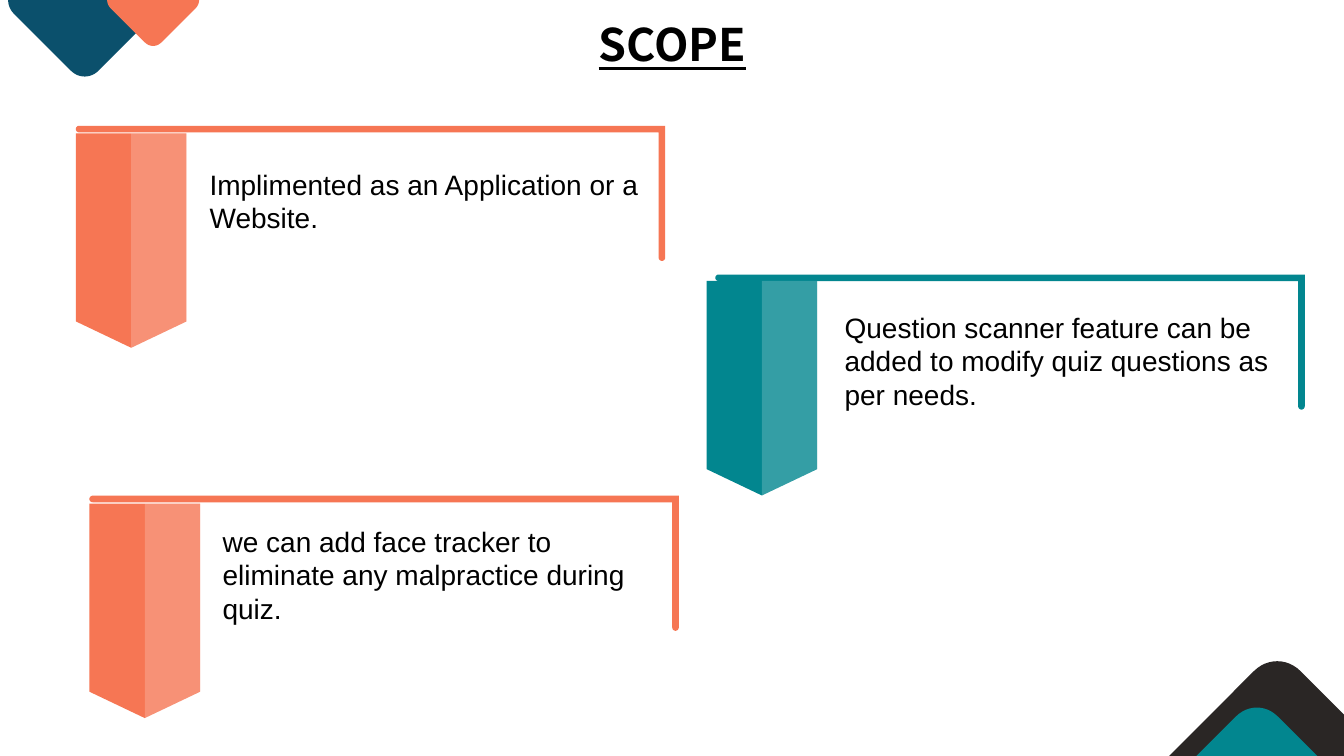
from dataclasses import dataclass
from math import cos, pi, sin

from lxml.etree import SubElement
from pptx import Presentation
from pptx.dml.color import RGBColor as RGB
from pptx.enum.text import MSO_AUTO_SIZE as Fit, PP_ALIGN as Align
from pptx.oxml.ns import qn
from pptx.util import Pt


@dataclass(frozen=True)
class Theme:
    orange: str = "F67654"
    teal: str = "02868F"
    navy: str = "0B506C"
    dark: str = "2A2625"
    white: str = "FFFFFF"
    black: str = "000000"
    head_font: str = "Noto Sans CJK SC"
    body_font: str = "Arial"
    head_size: int = 32
    body_size: int = 20


THEME = Theme()
WIDE, HIGH = 960, 540


def draw(slide, points, color, alpha=None):
    """Filled outline through points, with optional opacity in percent."""
    pts = [(Pt(x), Pt(y)) for x, y in points]
    pen = slide.shapes.build_freeform(*pts[0], scale=1.0)
    pen.add_line_segments(pts[1:], close=True)
    shape = pen.convert_to_shape()
    shape.shadow.inherit = False
    shape.line.fill.background()
    shape.fill.solid()
    shape.fill.fore_color.rgb = RGB.from_string(color)
    if alpha is not None:
        tint = shape.fill._xPr.find(".//" + qn("a:srgbClr"))
        SubElement(tint, qn("a:alpha"), val=str(alpha * 1000))


def write(slide, box, text, font, size, align=Align.LEFT, strong=False):
    left, top, width, height = box
    area = slide.shapes.add_textbox(Pt(left), Pt(top), Pt(width), Pt(height))
    frame = area.text_frame
    frame.word_wrap = True
    frame.auto_size = Fit.SHAPE_TO_FIT_TEXT
    para = frame.paragraphs[0]
    para.alignment = align
    run = para.add_run()
    run.text = text
    run.font.name = font
    run.font.size = Pt(size)
    run.font.color.rgb = RGB.from_string(THEME.black)
    if strong:
        run.font.bold = True
        run.font.underline = True


def curve(a, b, c, d, steps=12):
    """Points along a cubic curve."""
    return [tuple((1 - t) ** 3 * p + 3 * t * (1 - t) ** 2 * q
                  + 3 * t * t * (1 - t) * r + t ** 3 * s
                  for p, q, r, s in zip(a, b, c, d))
            for t in (i / steps for i in range(steps + 1))]


def arc(x, y, radius, start, steps=12):
    """Half circle that begins at the angle start."""
    return [(x + radius * cos(start + pi * i / steps),
             y + radius * sin(start + pi * i / steps))
            for i in range(steps + 1)]


# Rounded tip of a diamond, apex at (0, 0), body below it
TIP = curve((-10, 4.3), (-4.3, -1.44), (4.3, -1.44), (10, 4.3))
# Rounded right corner of the diamond, down to its middle
SIDE = curve((50.4, 44.7), (53.3, 47.5), (54.7, 51.1), (54.7, 54.7))


def top_gem(slide, mid, size, color):
    """Lower half of a diamond that hangs from the top edge."""
    half = [(-x, y) for x, y in reversed(SIDE)] + TIP + SIDE
    draw(slide, [(mid + x * size, (54.7 - y) * size) for x, y in half], color)


def low_gem(slide, mid, apex, size, color):
    """Tip of a diamond that rises from the bottom edge."""
    tip = [(mid + x * size, apex + y * size) for x, y in TIP]
    (x1, y1), (x2, y2) = tip[0], tip[-1]
    reach = min(WIDE, x2 + HIGH - y2)
    draw(slide, [(x1 - HIGH + y1, HIGH), *tip,
                 (reach, y2 + reach - x2), (reach, HIGH)], color)


def bracket(slide, left, top, color, width=421, height=96.5, bar=4.7):
    """Bar along the top and right sides, with round ends."""
    right, cap = left + width, bar / 2
    draw(slide, [(right, top),
                 *arc(right - cap, top + height - cap, cap, 0),
                 (right - bar, top + bar),
                 *arc(left + cap, top + cap, cap, pi / 2)], color)


def ribbon(slide, left, top, color, width=79, height=153.2, side=134.4):
    """Pointed band with a lighter right half."""
    mid, right = left + width / 2, left + width
    light = [(mid, top), (right, top), (right, top + side),
             (mid, top + height)]
    draw(slide, [(left, top), *light[1:], (left, top + side)], color)
    draw(slide, light, THEME.white, 20)


def card(slide, spot, color, band, box, text):
    """Bracket at spot; ribbon and text box are offset from it."""
    left, top = spot
    bracket(slide, left, top, color)
    ribbon(slide, left + band[0], top + band[1], color)
    dx, dy, width, height = box
    write(slide, (left + dx, top + dy, width, height), text,
          THEME.body_font, THEME.body_size)


def scope(slide):
    # Corner diamonds
    top_gem(slide, 60.5, 1, THEME.navy)
    top_gem(slide, 109.4, 0.6, THEME.orange)
    low_gem(slide, 912.3, 472.3, 1.68, THEME.dark)
    low_gem(slide, 897.8, 505.4, 1.5, THEME.teal)

    # Cards
    cards = [
        ((54.2, 89.9), THEME.orange, (0, 5.3), (88.4, 26, 321, 55.4),
         "Implimented as an Application or a Website."),
        ((511, 196.1), THEME.teal, (-6.3, 4.6), (85.2, 22, 344, 80),
         "Question scanner feature can be added to modify quiz "
         "questions as per needs."),
        ((63.9, 354.1), THEME.orange, (0, 5.6), (88, 16.7, 332.6, 80),
         "we can add face tracker to eliminate any malpractice "
         "during quiz."),
    ]
    for item in cards:
        card(slide, *item)

    # Title
    write(slide, (283, 8.6, 394.6, 46), "SCOPE", THEME.head_font,
          THEME.head_size, Align.CENTER, True)


def main():
    deck = Presentation()
    deck.slide_width, deck.slide_height = Pt(WIDE), Pt(HIGH)
    scope(deck.slides.add_slide(deck.slide_layouts[6]))
    deck.save("out.pptx")


if __name__ == "__main__":
    main()
